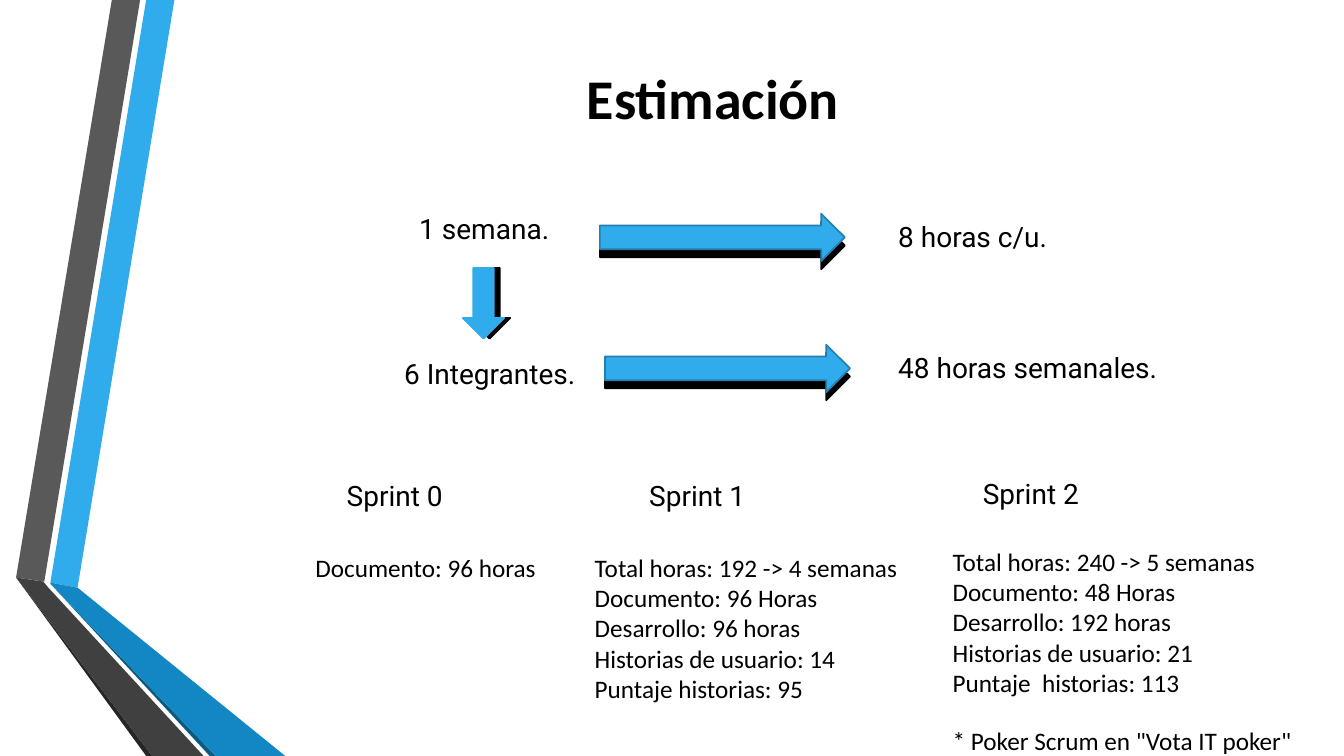
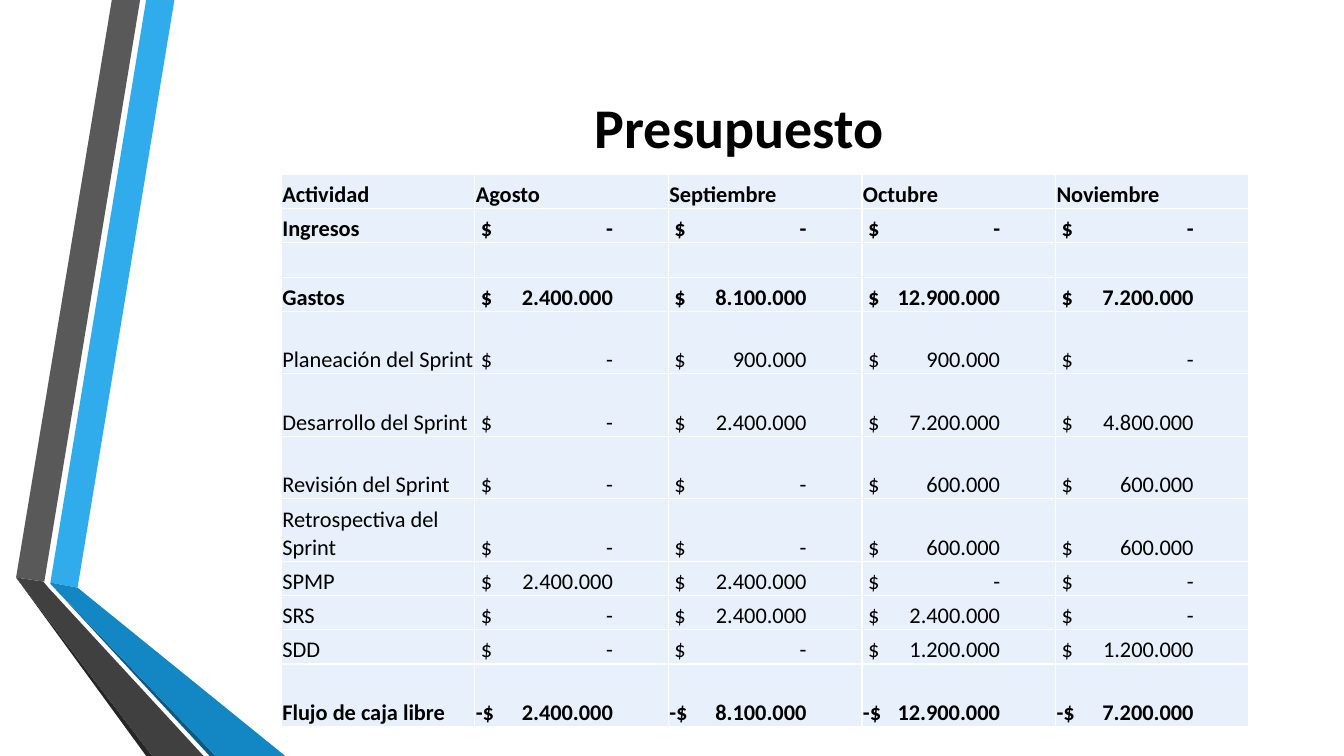
from pptx import Presentation
from pptx.dml.color import RGBColor
from pptx.enum.shapes import MSO_SHAPE as Shape
from pptx.enum.text import MSO_ANCHOR as Anchor, PP_ALIGN as Align
from pptx.oxml.ns import qn
from pptx.util import Inches, Pt
from lxml.etree import SubElement

BLACK, WHITE, BLUE, EDGE, PALE = "000000", "FFFFFF", "30ACEC", "247FAF", "E8F1FB"
SANS, HEAD = "Calibri", "Roboto"

# Folded ribbon: colour and outline, back to front
RIBBON = [
    (BLUE, [(0.5, 5.78), (0.77, 5.83), (1.73, 0), (1.45, 0)]),
    ("595959", [(1.39, 0), (1.11, 0), (0.16, 5.73), (0.44, 5.77)]),
    ("262626", [(0.16, 5.73), (1.45, 7.5), (1.51, 7.5)]),
    ("0C5A82", [(0.5, 5.79), (2.08, 7.5), (2.14, 7.5)]),
    ("1287C3", [(0.5, 5.79), (2.14, 7.5), (2.83, 7.5), (0.77, 5.83), (0.5, 5.78)]),
    ("404040", [(2.02, 7.5), (0.48, 5.83), (0.43, 5.77), (0.16, 5.73), (1.51, 7.5)]),
]

SPRINTS = [
    ("Sprint 0", (3.34, 4.7), (3.03, 5.43), ["Documento: 96 horas"]),
    ("Sprint 1", (6.34, 4.7), (5.8, 5.43), [
        "Total horas: 192 -> 4 semanas", "Documento: 96 Horas",
        "Desarrollo: 96 horas", "Historias de usuario: 14",
        "Puntaje historias: 95"]),
    ("Sprint 2", (9.65, 4.68), (9.35, 5.37), [
        "Total horas: 240 -> 5 semanas", "Documento: 48 Horas",
        "Desarrollo: 192 horas", "Historias de usuario: 21",
        "Puntaje  historias: 113"]),
]

MONTHS = ["Agosto", "Septiembre", "Octubre", "Noviembre"]
SHORT, TALL = 0.34, 0.62
# Label, row height, bold, currency sign, amounts
BUDGET = [
    ("Ingresos", SHORT, True, " $", ["-", "-", "-", "-"]),
    ("", SHORT, False, "", []),
    ("Gastos", SHORT, True, " $", ["2.400.000", "8.100.000", "12.900.000", "7.200.000"]),
    ("Planeación del Sprint", TALL, False, " $", ["-", "900.000", "900.000", "-"]),
    ("Desarrollo del Sprint", TALL, False, " $", ["-", "2.400.000", "7.200.000", "4.800.000"]),
    ("Revisión del Sprint", TALL, False, " $", ["-", "-", "600.000", "600.000"]),
    ("Retrospectiva del Sprint", TALL, False, " $", ["-", "-", "600.000", "600.000"]),
    ("SPMP", SHORT, False, " $", ["2.400.000", "2.400.000", "-", "-"]),
    ("SRS", SHORT, False, " $", ["-", "2.400.000", "2.400.000", "-"]),
    ("SDD", SHORT, False, " $", ["-", "-", "1.200.000", "1.200.000"]),
    ("Flujo de caja libre", TALL, True, "-$", ["2.400.000", "8.100.000", "12.900.000", "7.200.000"]),
]


def color(code):
    return RGBColor.from_string(code)


def paint(part, code):
    part.fill.solid()
    part.fill.fore_color.rgb = color(code)


def write(para, text, size, font=SANS, bold=False):
    run = para.add_run()
    run.text = text
    run.font.size, run.font.name, run.font.bold = Pt(size), font, bold
    run.font.color.rgb = color(BLACK)


# Shared parts
def ribbon(slide, layout):
    """Draw the ribbon and hand it to the layout, behind its placeholders."""
    for pos, (code, points) in enumerate(RIBBON):
        dots = [(Inches(x), Inches(y)) for x, y in points]
        pen = slide.shapes.build_freeform(*dots[0], scale=1.0)
        pen.add_line_segments(dots[1:], close=True)
        strip = pen.convert_to_shape()
        strip.shadow.inherit = False
        paint(strip, code)
        strip.line.fill.background()
        layout.shapes.element.insert(2 + pos, strip.element)


def title(slide, text, left, top):
    head = slide.shapes.title
    head.left, head.top = Inches(left), Inches(top)
    head.width, head.height = Inches(10.96), Inches(1.92)
    frame = head.text_frame
    frame.vertical_anchor = Anchor.MIDDLE
    para = frame.paragraphs[0]
    para.alignment = Align.CENTER
    write(para, text, 40, bold=True)


def note(slide, lines, left, top, width=3, size=18, font=SANS):
    height = 0.1 + 0.3 * len(lines)
    box = slide.shapes.add_textbox(Inches(left), Inches(top), Inches(width), Inches(height))
    frame = box.text_frame
    frame.word_wrap = True
    for num, line in enumerate(lines):
        para = frame.add_paragraph() if num else frame.paragraphs[0]
        write(para, line, size, font)


# Estimate slide
def arrow(slide, kind, box, shift, edge):
    """Draw an arrow over a black one moved by shift."""
    left, top, width, height = box
    for dx, dy, fill, line in [(*shift, BLACK, BLACK), (0, 0, BLUE, edge)]:
        item = slide.shapes.add_shape(
            kind, Inches(left + dx), Inches(top + dy), Inches(width), Inches(height))
        item.shadow.inherit = False
        paint(item, fill)
        item.line.color.rgb = color(line)
        item.line.width = Pt(1.25)


def flow(slide, left, top):
    for text, dx, dy in [("1 semana.", 0.15, 0), ("8 horas c/u.", 4.9, 0.08),
                         ("6 Integrantes.", 0, 1.44), ("48 horas semanales.", 4.9, 1.38)]:
        note(slide, [text], left + dx, top + dy, size=20, font=HEAD)
    for dx, dy in [(2.04, 0.07), (2.09, 1.37)]:
        arrow(slide, Shape.RIGHT_ARROW, (left + dx, top + dy, 2.43, 0.47), (0, 0.08), EDGE)
    arrow(slide, Shape.DOWN_ARROW, (left + 0.68, top + 0.61, 0.41, 0.7), (0.06, 0), BLUE)


def estimate(slide):
    title(slide, "Estimación", 1.59, 0)
    flow(slide, 3.91, 2.05)
    for name, spot, place, lines in SPRINTS:
        note(slide, [name], *spot, size=20, font=HEAD)
        note(slide, lines, *place, width=3.35)
    note(slide, ['* Poker Scrum en "Vota IT poker"'], 9.35, 7.15, width=3.9)


# Budget slide
def border(cell):
    props = cell._tc.get_or_add_tcPr()
    for num, side in enumerate(["lnL", "lnR", "lnT", "lnB"]):
        line = props.makeelement(qn("a:" + side), {"w": str(Pt(1))})
        fill = SubElement(line, qn("a:solidFill"))
        SubElement(fill, qn("a:srgbClr"), val=WHITE)
        props.insert(num, line)


def tab(para, spot):
    """Set a right tab stop, where the amounts end."""
    stops = SubElement(para._p.get_or_add_pPr(), qn("a:tabLst"))
    SubElement(stops, qn("a:tab"), pos=str(Inches(spot)), algn="r")


def fill(cell, text, bold):
    paint(cell, PALE)
    border(cell)
    cell.vertical_anchor = Anchor.BOTTOM
    cell.margin_left = cell.margin_right = cell.margin_top = Inches(0.01)
    cell.margin_bottom = 0
    para = cell.text_frame.paragraphs[0]
    if "\t" in text:
        tab(para, 1.36)
    if text:
        write(para, text, 16, bold=bold)
    else:
        para.font.size = Pt(16)


def grid(slide, left, top, width):
    rows = [(SHORT, True, ["Actividad"] + MONTHS)]
    for name, height, bold, sign, sums in BUDGET:
        cells = [f"{sign}\t{value}" for value in sums] or [""] * len(MONTHS)
        rows.append((height, bold, [name] + cells))
    total = sum(row[0] for row in rows)
    table = slide.shapes.add_table(len(rows), len(MONTHS) + 1, Inches(left), Inches(top),
                                   Inches(width), Inches(total)).table
    table.first_row = table.horz_banding = False
    for row, (height, bold, texts) in zip(table.rows, rows):
        row.height = Inches(height)
        for cell, text in zip(row.cells, texts):
            fill(cell, text, bold)


def budget(slide):
    title(slide, "Presupuesto", 1.85, 0.29)
    grid(slide, 2.79, 1.73, 9.6)


def main():
    deck = Presentation()
    deck.slide_width, deck.slide_height = Inches(13.33), Inches(7.5)
    layout = deck.slide_layouts[5]
    for num, build in enumerate([estimate, budget]):
        slide = deck.slides.add_slide(layout)
        if num == 0:
            ribbon(slide, layout)
        build(slide)
    deck.save("out.pptx")


if __name__ == "__main__":
    main()
